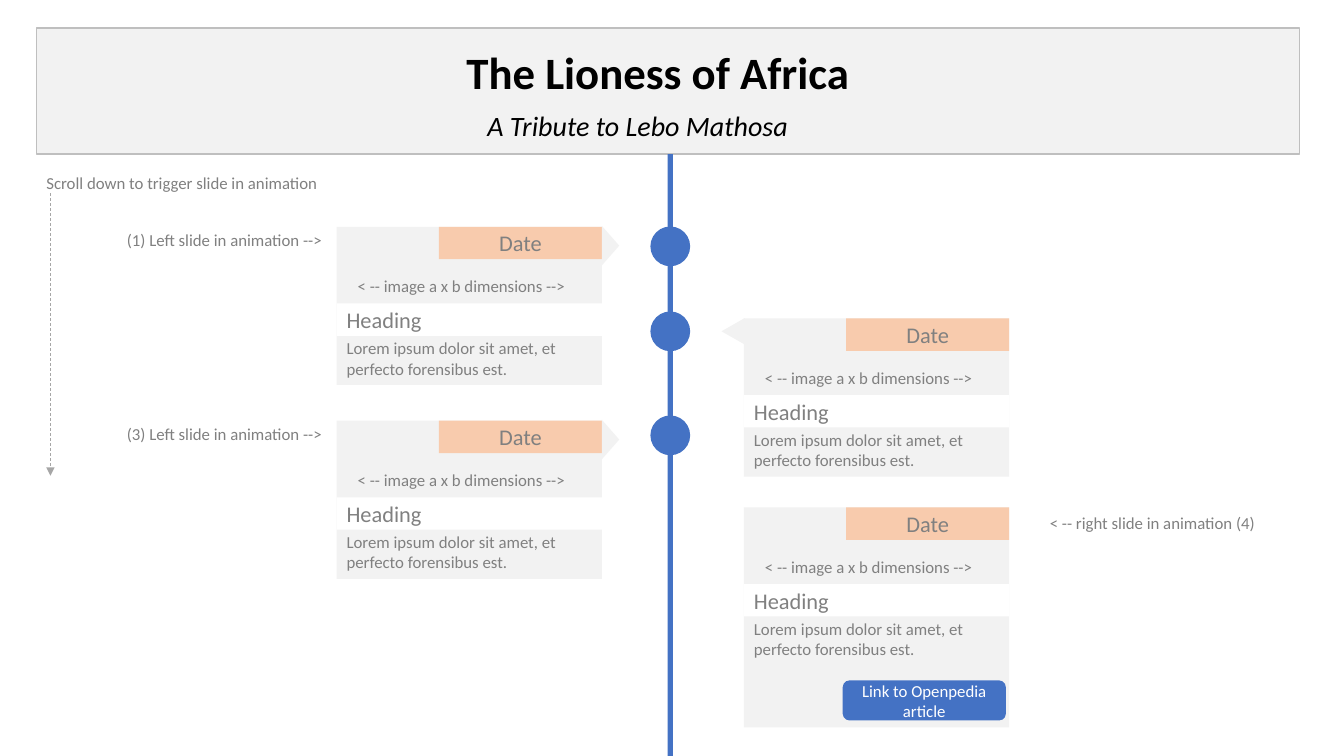
from lxml.etree import SubElement
from pptx import Presentation
from pptx.dml.color import RGBColor
from pptx.enum.dml import MSO_LINE
from pptx.enum.shapes import MSO_CONNECTOR, MSO_SHAPE
from pptx.enum.text import MSO_ANCHOR as ANCHOR, MSO_AUTO_SIZE, PP_ALIGN as ALIGN
from pptx.oxml.ns import qn
from pptx.util import Pt

BLACK = RGBColor(0x00, 0x00, 0x00)
WHITE = RGBColor(0xFF, 0xFF, 0xFF)
PALE = RGBColor(0xF2, 0xF2, 0xF2)
BORDER = RGBColor(0xBF, 0xBF, 0xBF)
ARROW = RGBColor(0xA6, 0xA6, 0xA6)
GREY = RGBColor(0x80, 0x80, 0x80)
BLUE = RGBColor(0x44, 0x72, 0xC4)
PEACH = RGBColor(0xF8, 0xCB, 0xAD)

FONT = "Calibri"
CARD_WIDTH, CARD_HEIGHT = 189.5, 113
LEFT_CARDS, RIGHT_CARDS = 240.5, 531.4


def points(*lengths):
    """Turn plain numbers into point lengths."""
    return [Pt(length) for length in lengths]


def write(shape, text, size, color=GREY, align=ALIGN.LEFT, anchor=ANCHOR.TOP):
    """Put one formatted paragraph into a shape and return the paragraph."""
    frame = shape.text_frame
    frame.word_wrap = True
    frame.auto_size = MSO_AUTO_SIZE.NONE
    frame.vertical_anchor = anchor
    paragraph = frame.paragraphs[0]
    paragraph.text = text
    paragraph.alignment = align
    paragraph.space_before = Pt(0)
    font = paragraph.font
    font.name, font.size, font.color.rgb = FONT, Pt(size), color
    return paragraph


def add_block(shapes, kind, box, fill):
    """Add a flat filled preset shape without outline."""
    shape = shapes.add_shape(kind, *points(*box))
    shape.shadow.inherit = False
    shape.fill.solid()
    shape.fill.fore_color.rgb = fill
    shape.line.fill.background()
    return shape


def add_note(shapes, box, text):
    """Add a small grey text box."""
    write(shapes.add_textbox(*points(*box)), text, 12)


def add_header(slide, box):
    """Place the framed banner with title and subtitle."""
    left, top, width, height = box
    banner = add_block(slide.shapes, MSO_SHAPE.RECTANGLE, box, PALE)
    banner.line.color.rgb = BORDER
    banner.line.width = Pt(1)
    title, subtitle = slide.placeholders
    title.element.addprevious(banner.element)
    rows = ((title, 61, 8, 46, "The Lioness of Africa", 32),
            (subtitle, 46.5, 53.5, 31.5, "A Tribute to Lebo Mathosa", 20))
    for shape, indent, offset, row_height, text, size in rows:
        shape.left, shape.top, shape.width, shape.height = points(
            left + indent, top + offset, 766, row_height)
        write(shape, text, size, BLACK, ALIGN.CENTER, ANCHOR.MIDDLE)
    title.text_frame.paragraphs[0].font.bold = True
    subtitle.text_frame.paragraphs[0].font.italic = True


def add_timeline(slide, box, dot_tops):
    """Draw the vertical bar and its centred dots."""
    left, _, width, _ = box
    add_block(slide.shapes, MSO_SHAPE.RECTANGLE, box, BLUE)
    size = 28.4
    for top in dot_tops:
        dot = (left + (width - size) / 2, top, size, size)
        add_block(slide.shapes, MSO_SHAPE.OVAL, dot, BLUE)


def add_card(slide, box):
    """Place a grouped event card: image area, date, heading and text."""
    left, top, width, _ = box
    shapes = slide.shapes.add_group_shape().shapes
    add_block(shapes, MSO_SHAPE.RECTANGLE, box, PALE)
    heading = add_block(shapes, MSO_SHAPE.RECTANGLE,
                        (left, top + 54.7, width, 23.2), WHITE)
    write(heading, "Heading", 16, anchor=ANCHOR.MIDDLE)
    date = add_block(shapes, MSO_SHAPE.RECTANGLE,
                     (left + 73, top, width - 73, 23.2), PEACH)
    write(date, "Date", 16, align=ALIGN.CENTER, anchor=ANCHOR.MIDDLE)
    add_note(shapes, (left, top + 76, 179.3, 26.6),
             "Lorem ipsum dolor sit amet, et perfecto forensibus est.")
    add_note(shapes, (left + 7.9, top + 31.7, 179.3, 16),
             "< -- image a x b dimensions -->")


def add_pointer(slide, box, rotation):
    """Add a triangle turned sideways so that it fills the given box."""
    left, top, width, height = box
    unturned = (left + (width - height) / 2, top + (height - width) / 2,
                height, width)
    triangle = add_block(slide.shapes, MSO_SHAPE.ISOSCELES_TRIANGLE, unturned, PALE)
    triangle.rotation = rotation


def add_link_button(slide, box):
    """Add the rounded link button."""
    button = add_block(slide.shapes, MSO_SHAPE.ROUNDED_RECTANGLE, box, BLUE)
    write(button, "Link to Openpedia article", 12, WHITE, ALIGN.CENTER, ANCHOR.MIDDLE)


def add_scroll_arrow(slide, box):
    """Draw the dashed arrow down the left edge of the box."""
    left, top, _, height = box
    arrow = slide.shapes.add_connector(
        MSO_CONNECTOR.STRAIGHT, *points(left, top, left, top + height))
    arrow.line.color.rgb = ARROW
    arrow.line.width = Pt(0.5)
    arrow.line.dash_style = MSO_LINE.DASH
    SubElement(arrow.line._get_or_add_ln(), qn("a:tailEnd"), type="triangle")
    SubElement(arrow.element.spPr, qn("a:effectLst"))


def build_slide(presentation):
    """Build the timeline slide."""
    slide = presentation.slides.add_slide(presentation.slide_layouts[0])
    add_header(slide, (26, 20, 902.5, 90))
    add_timeline(slide, (476.9, 110, 3.8, 430), (161.8, 222.5, 296.8))

    for top in (162, 300.5):
        add_card(slide, (LEFT_CARDS, top, CARD_WIDTH, CARD_HEIGHT))
        add_pointer(slide, (LEFT_CARDS + CARD_WIDTH, top - 0.5, 12.3, 28), 90)
    for top, height in ((227.5, CARD_HEIGHT), (362.5, 157)):
        add_card(slide, (RIGHT_CARDS, top, CARD_WIDTH, height))
    add_pointer(slide, (RIGHT_CARDS - 16, 227.3, 16.4, 18.7), 270)
    add_link_button(slide, (602, 486, 116.5, 28.6))

    notes = ((83.5, 160.6, 179.3, "(1) Left slide in animation -->"),
             (83.5, 299, 179.3, "(3) Left slide in animation -->"),
             (26, 119.8, 296.6, "Scroll down to trigger slide in animation"),
             (742.8, 362.5, 179.3, "< -- right slide in animation (4)"))
    for left, top, width, text in notes:
        add_note(slide.shapes, (left, top, width, 21.8), text)
    add_scroll_arrow(slide, (36, 138.2, 0, 201.6))


presentation = Presentation()
presentation.slide_width, presentation.slide_height = points(960, 540)
build_slide(presentation)
presentation.save("out.pptx")
